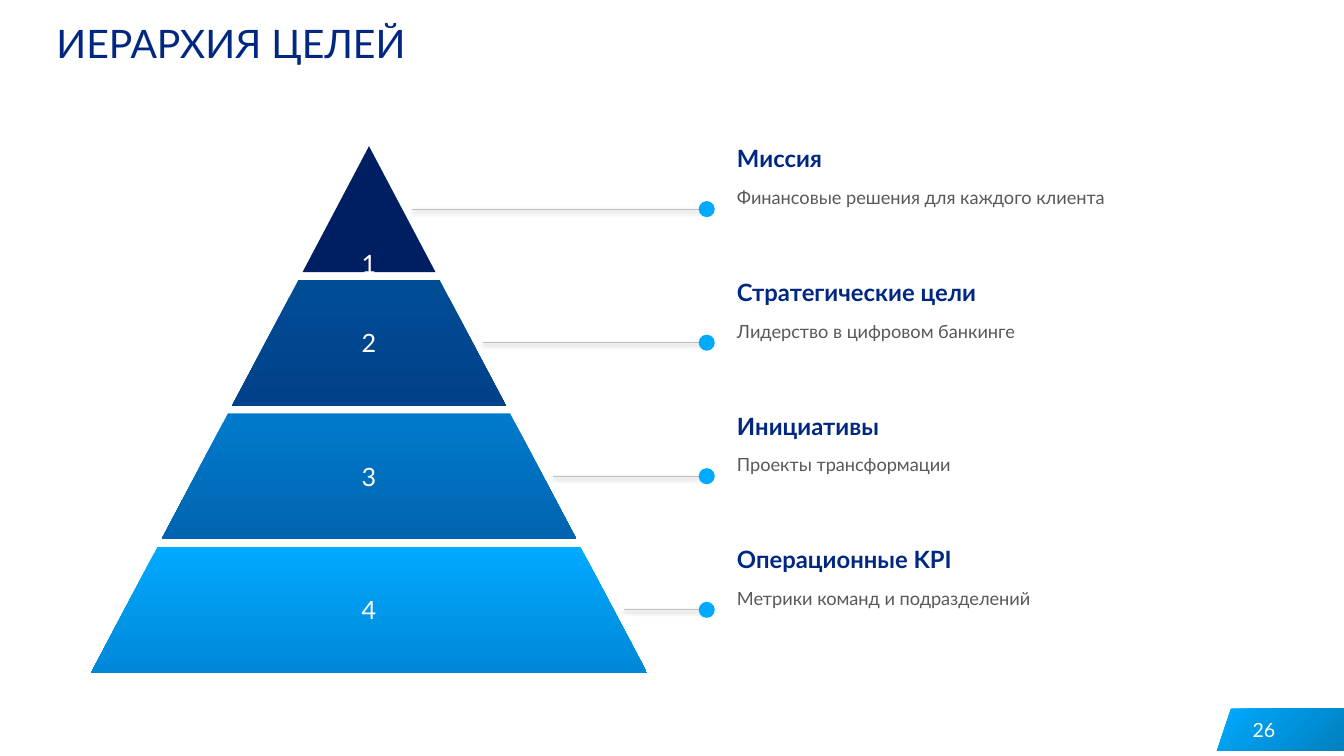
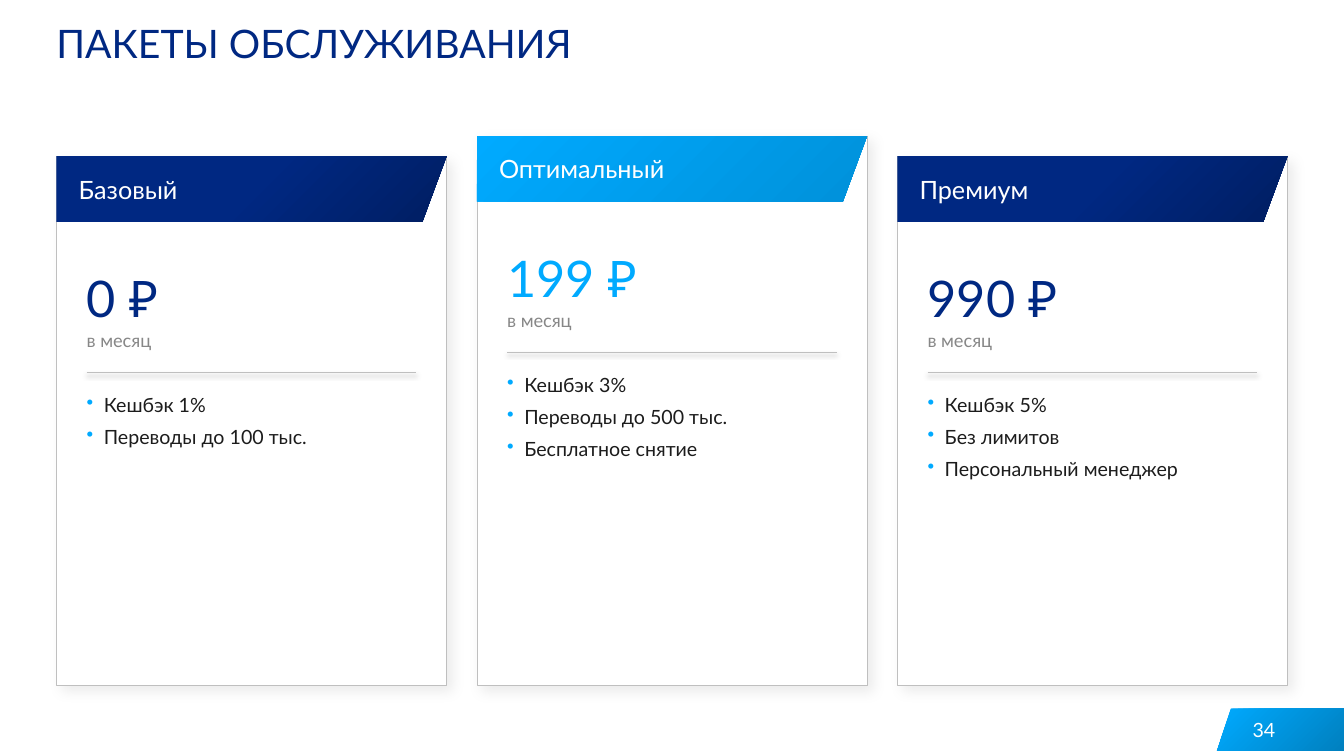
from lxml.etree import SubElement
from pptx import Presentation
from pptx.dml.color import RGBColor
from pptx.enum.shapes import MSO_CONNECTOR, MSO_SHAPE
from pptx.enum.text import MSO_ANCHOR as ANCHOR, PP_ALIGN as ALIGN
from pptx.oxml.ns import qn
from pptx.util import Inches, Pt

FONT = "Lato"
NAVY, DEEP_NAVY, SKY = "002882", "001E62", "00AAFF"
WHITE, RULE, GREY, PALE_GREY, INK = "FFFFFF", "BFBFBF", "58595B", "878787", "1C1C1C"
rgb = RGBColor.from_string


def add_text(slide, left, top, width, height, lines, size, colour,
             bold=False, anchor=ANCHOR.TOP, align=ALIGN.LEFT):
    box = slide.shapes.add_textbox(Inches(left), Inches(top), Inches(width), Inches(height))
    frame = box.text_frame
    frame.word_wrap = True
    frame.vertical_anchor = anchor
    frame.margin_left = frame.margin_right = frame.margin_top = frame.margin_bottom = 0
    frame.text = "\n".join(lines)
    for paragraph in frame.paragraphs:
        paragraph.alignment = align
        for run in paragraph.runs:
            run.font.name = FONT
            run.font.size = Pt(size)
            run.font.bold = bold
            run.font.color.rgb = rgb(colour)
    return frame


def add_polygon(slide, corners, first, last, angle, start=0):
    points = [(Inches(x), Inches(y)) for x, y in corners]
    builder = slide.shapes.build_freeform(*points[0])
    builder.add_line_segments(points[1:], close=True)
    polygon = builder.convert_to_shape()
    polygon.shadow.inherit = False
    polygon.line.fill.background()
    if first == last:
        polygon.fill.solid()
        polygon.fill.fore_color.rgb = rgb(first)
        return
    polygon.fill.gradient()
    polygon.fill.gradient_angle = 360 - angle
    for stop, colour, position in zip(polygon.fill.gradient_stops, (first, last), (start, 1)):
        stop.color.rgb = rgb(colour)
        stop.position = position


prs = Presentation()
prs.slide_width, prs.slide_height = Inches(13.33), Inches(7.5)

slides = []
for title, number in (("ИЕРАРХИЯ ЦЕЛЕЙ", "26"), ("ПАКЕТЫ ОБСЛУЖИВАНИЯ", "34")):
    slide = prs.slides.add_slide(prs.slide_layouts[6])
    add_polygon(slide, [(12.21, 7.03), (13.33, 7.03), (13.33, 7.45), (12.07, 7.45)],
                SKY, "0080BF", 45)
    add_text(slide, 0.56, 0.19, 10.48, 0.94, [title], 28, NAVY)
    add_text(slide, 12.29, 7.04, 0.36, 0.4, [number], 14, WHITE,
             anchor=ANCHOR.MIDDLE, align=ALIGN.RIGHT)
    slides.append(slide)
goals, packages = slides

levels = [
    ("Миссия", "Финансовые решения для каждого клиента", DEEP_NAVY, DEEP_NAVY),
    ("Стратегические цели", "Лидерство в цифровом банкинге", "004D96", "004189"),
    ("Инициативы", "Проекты трансформации", "007BCB", "0064B1"),
    ("Операционные KPI", "Метрики команд и подразделений", SKY, "0087D8"),
]
APEX_X, APEX_Y = 3.66, 1.45
LEVEL_HEIGHT, LEVEL_GAP = 1.25, 0.07
SLOPE = 2.76 / 5.23
DOT, DOT_X = 0.16, 7.01

for index, (heading, detail, first, last) in enumerate(levels):
    top = APEX_Y + index * (LEVEL_HEIGHT + LEVEL_GAP + 0.005)
    bottom, middle = top + LEVEL_HEIGHT, top + LEVEL_HEIGHT / 2
    upper, centre, lower = [(y - APEX_Y) * SLOPE for y in (top, middle, bottom)]
    add_polygon(goals, [(APEX_X - upper, top), (APEX_X + upper, top),
                        (APEX_X + lower, bottom), (APEX_X - lower, bottom)], first, last, 90)
    if index == 0:
        add_text(goals, APEX_X - 0.4, 1.6, 0.8, 1.16, ["1"], 18, WHITE,
                 anchor=ANCHOR.BOTTOM, align=ALIGN.CENTER)
    else:
        add_text(goals, APEX_X - 0.4, top, 0.8, LEVEL_HEIGHT, [str(index + 1)], 18, WHITE,
                 anchor=ANCHOR.MIDDLE, align=ALIGN.CENTER)
    leader = goals.shapes.add_connector(
        MSO_CONNECTOR.STRAIGHT, Inches(APEX_X + centre + 0.1), Inches(middle),
        Inches(DOT_X), Inches(middle))
    leader.line.color.rgb = rgb(RULE)
    leader.line.width = Pt(0.75)
    dot = goals.shapes.add_shape(MSO_SHAPE.OVAL, Inches(DOT_X - DOT / 2),
                                 Inches(middle - DOT / 2), Inches(DOT), Inches(DOT))
    dot.shadow.inherit = False
    dot.fill.solid()
    dot.fill.fore_color.rgb = rgb(SKY)
    dot.line.fill.background()
    add_text(goals, 7.31, top - 0.02, 5.46, 0.42, [heading], 17, NAVY, bold=True)
    add_text(goals, 7.31, top + 0.4, 5.46, 0.88, [detail], 13, GREY)

offers = [
    ("Базовый", "0 ₽", ["Кешбэк 1%", "Переводы до 100 тыс."],
     1.55, NAVY, DEEP_NAVY, 0.5),
    ("Оптимальный", "199 ₽", ["Кешбэк 3%", "Переводы до 500 тыс.", "Бесплатное снятие"],
     1.35, SKY, "0091DA", 0),
    ("Премиум", "990 ₽", ["Кешбэк 5%", "Без лимитов", "Персональный менеджер"],
     1.55, NAVY, DEEP_NAVY, 0.5),
]
CARD_WIDTH, CARD_GAP, CARD_BOTTOM = 3.87, 0.3, 6.8
HEADER_HEIGHT, HEADER_SLANT = 0.65, 0.24
PADDING = 0.3
INNER_WIDTH = CARD_WIDTH - 2 * PADDING

for index, (name, price, features, top, first, last, start) in enumerate(offers):
    left = 0.56 + index * (CARD_WIDTH + CARD_GAP)
    right, inner = left + CARD_WIDTH, left + PADDING
    card = packages.shapes.add_shape(MSO_SHAPE.RECTANGLE, Inches(left), Inches(top),
                                     Inches(CARD_WIDTH), Inches(CARD_BOTTOM - top))
    card.fill.solid()
    card.fill.fore_color.rgb = rgb(WHITE)
    card.line.color.rgb = rgb(RULE)
    card.line.width = Pt(0.5)
    card.shadow.inherit = False
    effects = card._element.spPr.find(qn("a:effectLst"))
    shadow = SubElement(effects, qn("a:outerShdw"), blurRad=str(Pt(9)), dist=str(Pt(5)),
                        dir="2700000", algn="tl", rotWithShape="0")
    shade = SubElement(shadow, qn("a:srgbClr"), val="000000")
    SubElement(shade, qn("a:alpha"), val="8000")

    header_bottom = top + HEADER_HEIGHT
    add_polygon(packages, [(left, top), (right, top), (right - HEADER_SLANT, header_bottom),
                           (left, header_bottom)], first, last, 45, start)
    add_text(packages, left + 0.22, top + 0.04, 3.31, 0.57, [name], 18, WHITE,
             anchor=ANCHOR.MIDDLE)
    add_text(packages, inner, top + 0.85, INNER_WIDTH, 0.85, [price], 36, first,
             anchor=ANCHOR.BOTTOM)
    add_text(packages, inner, top + 1.72, INNER_WIDTH, 0.35, ["в месяц"], 13, PALE_GREY)
    divider = packages.shapes.add_connector(
        MSO_CONNECTOR.STRAIGHT, Inches(inner), Inches(top + 2.15),
        Inches(inner + INNER_WIDTH), Inches(top + 2.15))
    divider.line.color.rgb = rgb(RULE)
    divider.line.width = Pt(0.75)

    feature_top = top + 2.35
    feature_list = add_text(packages, inner, feature_top, INNER_WIDTH,
                            CARD_BOTTOM - 0.15 - feature_top, features, 14, INK)
    for position, feature in enumerate(feature_list.paragraphs):
        properties = feature._p.get_or_add_pPr()
        properties.set("marL", str(Inches(0.17)))
        properties.set("indent", str(-Inches(0.17)))
        bullet_colour = SubElement(properties, qn("a:buClr"))
        SubElement(bullet_colour, qn("a:srgbClr"), val=SKY)
        SubElement(properties, qn("a:buChar"), char="•")
        if position:
            feature.space_before = Pt(6)

prs.save("out.pptx")
